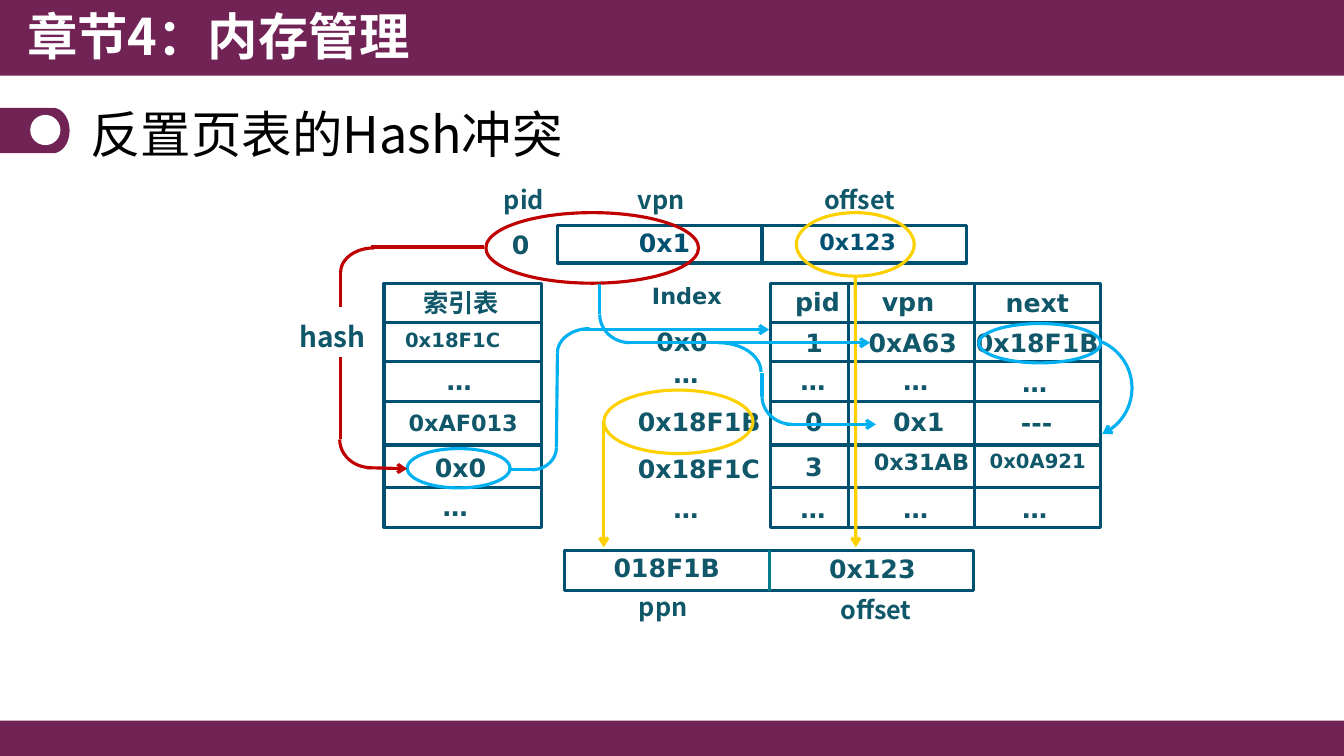
from math import cos, pi, sin

from lxml import etree
from pptx import Presentation
from pptx.dml.color import RGBColor
from pptx.enum.shapes import MSO_CONNECTOR, MSO_SHAPE
from pptx.enum.text import MSO_ANCHOR, MSO_AUTO_SIZE, PP_ALIGN
from pptx.oxml.ns import qn
from pptx.util import Inches, Pt

PURPLE = RGBColor(0x71, 0x23, 0x55)
WHITE = RGBColor(0xFF, 0xFF, 0xFF)
BLACK = RGBColor(0x00, 0x00, 0x00)
NAVY = RGBColor(0x00, 0x50, 0x72)
TEAL = RGBColor(0x00, 0x7C, 0x8B)
INK = RGBColor(0x11, 0x57, 0x6A)
RED = RGBColor(0xC0, 0x00, 0x00)
YELLOW = RGBColor(0xFD, 0xD0, 0x00)
BLUE = RGBColor(0x00, 0xB0, 0xF0)

RECT, OVAL, ARC = MSO_SHAPE.RECTANGLE, MSO_SHAPE.OVAL, MSO_SHAPE.ARC
STRAIGHT = MSO_CONNECTOR.STRAIGHT
LEFT, CENTER = PP_ALIGN.LEFT, PP_ALIGN.CENTER
TOP, MIDDLE = MSO_ANCHOR.TOP, MSO_ANCHOR.MIDDLE
GROW, FIXED = MSO_AUTO_SIZE.SHAPE_TO_FIT_TEXT, MSO_AUTO_SIZE.NONE

MONO, SANS = "DejaVu Sans", "Noto Sans CJK SC"
CELL = Inches(0.1)
COLUMNS, ROWS = 133.33, 75
STROKE = Pt(2.25)
LABEL_ROWS = {14: 3.4, 16: 3.7, 18: 4, 20: 4.4}
TABLE_TOP, TABLE_ROWS = 28.1, 24.2
TABLE_RULES = (32, 35.9, 39.85, 44.15, 48.4)
TABLE_COLUMNS = ((38.1, 15.6), (96.7, 12.5), (84.2, 12.5), (76.4, 7.8))


def grid(*cells):
    return [round(cell * CELL) for cell in cells]


def add_arrowhead(item):
    etree.SubElement(item.element.spPr.find(qn("a:ln")), qn("a:tailEnd"), type="arrow")


def style_shape(shape, fill=None, line=None):
    shape.shadow.inherit = False
    if fill is None:
        shape.fill.background()
    else:
        shape.fill.solid()
        shape.fill.fore_color.rgb = fill
    if line is None:
        shape.line.fill.background()
    else:
        shape.line.color.rgb = line
        shape.line.width = STROKE
    return shape


def add_preset(slide, kind, box, fill=None, line=None):
    return style_shape(slide.shapes.add_shape(kind, *grid(*box)), fill, line)


def add_line(slide, start, end, color, arrow=False):
    line = slide.shapes.add_connector(STRAIGHT, *grid(*start, *end))
    line.line.color.rgb = color
    line.line.width = STROKE
    etree.SubElement(line.element.spPr, qn("a:effectLst"))
    if arrow:
        add_arrowhead(line)
    return line


def quarter_turn(flat, steep, steps=12):
    (x0, y0), (x1, y1) = flat, steep
    angles = [pi / 2 * step / steps for step in range(steps + 1)]
    return [(x0 + (x1 - x0) * sin(a), y1 + (y0 - y1) * cos(a)) for a in angles]


def add_outline(slide, points, closed=False, **colors):
    first, *rest = [grid(*point) for point in points]
    builder = slide.shapes.build_freeform(*first)
    builder.add_line_segments(rest, close=closed)
    return style_shape(builder.convert_to_shape(), **colors)


def add_text(slide, words, box, size, font=MONO, color=INK, bold=True,
             align=LEFT, anchor=TOP, fit=GROW):
    frame = slide.shapes.add_textbox(*grid(*box)).text_frame
    paragraph = frame.paragraphs[0]
    run = paragraph.add_run()
    run.text = words
    formats = {
        frame: {"word_wrap": True, "auto_size": fit, "vertical_anchor": anchor},
        paragraph: {"alignment": align},
        run.font: {"name": font, "size": Pt(size), "bold": bold},
    }
    for target, values in formats.items():
        for name, value in values.items():
            setattr(target, name, value)
    run.font.color.rgb = color
    etree.SubElement(run.font._element, qn("a:ea"), typeface=font)


def add_label(slide, words, left, top, width, size=18, **style):
    add_text(slide, words, (left, top, width, LABEL_ROWS[size]), size, **style)


def add_address(slide, box, divider_color):
    address = add_preset(slide, RECT, box, line=NAVY)
    middle = box[0] + box[2] / 2
    divider = add_line(slide, (middle, box[1]), (middle, box[1] + box[3]), divider_color)
    divider.begin_connect(address, 0)
    divider.end_connect(address, 2)


def add_table_column(slide, left, width):
    add_preset(slide, RECT, (left, TABLE_TOP, width, TABLE_ROWS), line=NAVY)
    for rule in TABLE_RULES:
        add_line(slide, (left, rule), (left + width, rule), NAVY)


def add_heading(slide):
    add_preset(slide, RECT, (0, 71.5, COLUMNS, 3.6), fill=PURPLE)
    add_preset(slide, RECT, (-0.3, 0, COLUMNS + 0.3, 7.5), fill=PURPLE)
    upper = quarter_turn((5.25, 10.7), (6.9, 12.95))
    lower = quarter_turn((5.25, 15.2), (6.9, 12.95))[::-1]
    add_outline(slide, [(0, 10.7), *upper, *lower[1:], (0, 15.2)], closed=True, fill=PURPLE)
    add_preset(slide, OVAL, (3, 11.4, 3, 3), fill=WHITE)
    add_text(slide, "章节4：内存管理", (1.7, 0, 66.7, 7.7), 36, SANS, WHITE, fit=FIXED)
    add_text(slide, "反置页表的Hash冲突", (8, 9.5, 115.3, 7.5), 36, SANS, BLACK,
             bold=False, anchor=MIDDLE, fit=FIXED)


def add_addresses(slide):
    add_address(slide, (55.3, 22.4, 40.6, 3.7), NAVY)
    add_address(slide, (56, 54.6, 40.6, 4), TEAL)
    add_label(slide, "0x1", 62.4, 22.1, 12.5, color=NAVY)
    add_label(slide, "0x123", 80.3, 22.1, 10.2, 16, color=NAVY)
    add_label(slide, "0", 49.8, 22.3, 3.8)
    for words, left, width in (("pid", 49, 10.2), ("vpn", 62.3, 11.7), ("offset", 80.8, 11.7)):
        add_label(slide, words, left, 17.8, width, font=SANS)
    for words, left, top, width, font in (
        ("018F1B", 56, 54.3, 20.3, MONO), ("0x123", 76.4, 54.4, 20.3, MONO),
        ("ppn", 61.5, 58.2, 8.6, SANS), ("offset", 81.8, 58.5, 10.2, SANS),
    ):
        add_label(slide, words, left, top, width, font=font, align=CENTER)


def add_tables(slide):
    add_label(slide, "索引表", 41, 28, 15.6, font=SANS)
    for words, left, top, width, size in (
        ("0x18F1C", 39.2, 32, 12.5, 14), ("pid", 77.9, 27.9, 10.9, 18),
        ("1", 78.9, 32, 7.8, 18), ("vpn", 86.5, 27.9, 7.8, 18),
        ("Index", 63.7, 27.5, 9.4, 16), ("0x18F1B", 62.3, 39.8, 14.8, 18),
        ("0x18F1C", 62.3, 44.5, 14.8, 18), ("0", 78.9, 39.8, 4.7, 18),
        ("3", 78.9, 44.3, 2.3, 18), ("---", 100.3, 39.9, 7.2, 18),
        ("0x31AB", 85.7, 44, 12, 16),
    ):
        add_label(slide, words, left, top, width, size)
    for words, left, top, width, size in (
        ("…", 39.7, 35.8, 11.7, 18), ("0xAF013", 38.9, 40.1, 14.1, 16),
        ("0x0", 41.8, 44.4, 7.8, 18), ("…", 38.9, 48.3, 12.5, 18),
        ("next", 97.8, 28, 10.2, 18), ("0x0", 61.4, 31.9, 12.5, 18),
        ("0xA63", 84.9, 32, 11.3, 18), ("0x18F1B", 95.1, 32, 15.6, 18),
        ("0x1", 85.7, 39.8, 10.9, 18), ("0x0A921", 96.7, 44, 12.5, 14),
    ):
        add_label(slide, words, left, top, width, size, align=CENTER)
    for left, upper in ((65.3, 35.1), (77.9, 35.8), (88.1, 35.8), (99.9, 35.9)):
        for top in (upper, 48.4):
            add_label(slide, "…", left, top, 5.5, align=CENTER)
    for left, width in TABLE_COLUMNS:
        add_table_column(slide, left, width)


def add_routes(slide):
    add_label(slide, "hash", 28.7, 31.2, 8.6, 20, font=SANS)
    for box, color in (
        ((48.2, 21.1, 21.1, 7), RED), ((59.9, 38.7, 14.8, 6.3), YELLOW),
        ((40.4, 44.5, 10.2, 3.9), BLUE), ((97.1, 32.1, 12.1, 3.9), BLUE),
        ((79, 21.1, 11.7, 6.3), YELLOW),
    ):
        add_preset(slide, OVAL, box, line=color)
    next_hop = add_preset(slide, ARC, (102.3, 33.5, 10, 10), line=BLUE)
    next_hop.rotation = 23.8
    next_hop.adjustments[0], next_hop.adjustments[1] = 162, 25.12
    add_arrowhead(next_hop)
    for start, end, color in (
        ((48, 24.5), (36.8, 24.5), RED), ((33.8, 27), (33.8, 30.5), RED),
        ((33.8, 35.4), (33.8, 43.6), RED), ((55.3, 35), (55.2, 44.4), BLUE),
        ((53.2, 46.6), (50.4, 46.6), BLUE), ((59.5, 28.2), (59.5, 31.2), BLUE),
        ((62.2, 34), (71.6, 34), BLUE), ((75.6, 39.3), (75.6, 37), BLUE),
    ):
        add_line(slide, start, end, color)
    for start, end, color in (
        ((59.9, 41.8), (59.9, 54.3), YELLOW), ((84.85, 27.3), (84.9, 54.3), YELLOW),
        ((36.4, 46.4), (40.4, 46.5), RED), ((57.6, 32.7), (76.3, 32.7), BLUE),
        ((71.6, 34), (86.3, 34), BLUE), ((78, 42.1), (86.9, 42.1), BLUE),
    ):
        add_line(slide, start, end, color, arrow=True)
    for flat, steep, color in (
        ((36.8, 46.4), (33.7, 43.6), RED), ((37.1, 24.6), (33.8, 27), RED),
        ((58.5, 32.6), (55.3, 35), BLUE), ((52.8, 46.6), (55.2, 44.4), BLUE),
        ((62.5, 34), (59.5, 31.2), BLUE), ((78.6, 42.1), (75.6, 39.3), BLUE),
        ((71.3, 34), (75.5, 36.9), BLUE),
    ):
        add_outline(slide, quarter_turn(flat, steep), line=color)


def main():
    deck = Presentation()
    deck.slide_width, deck.slide_height = grid(COLUMNS, ROWS)
    slide = deck.slides.add_slide(deck.slide_layouts[6])
    add_heading(slide)
    add_addresses(slide)
    add_tables(slide)
    add_routes(slide)
    deck.save("out.pptx")


if __name__ == "__main__":
    main()
